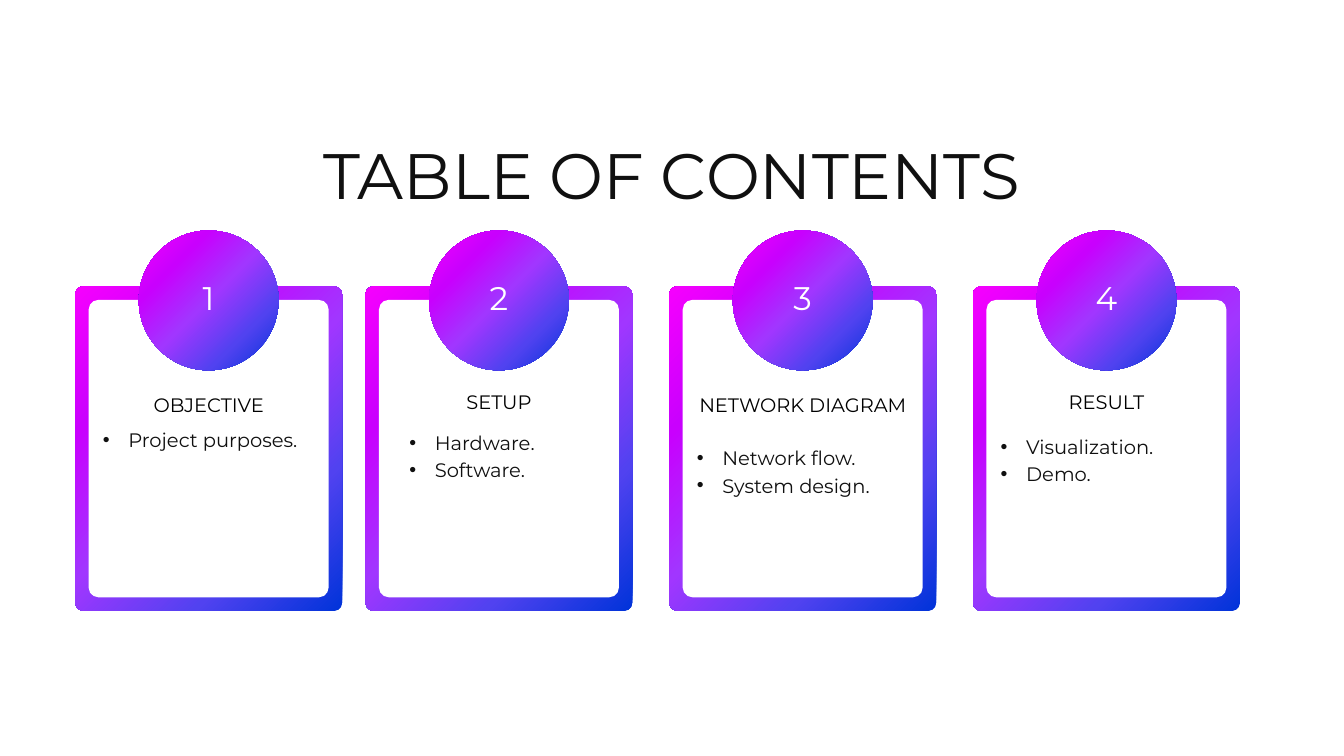
from pptx import Presentation
from pptx.dml.color import RGBColor
from pptx.enum.shapes import MSO_SHAPE
from pptx.enum.text import MSO_ANCHOR, MSO_AUTO_SIZE, PP_ALIGN
from pptx.oxml import parse_xml
from pptx.oxml.ns import nsdecls, qn
from pptx.util import Inches, Pt

ROUNDED, OVAL = MSO_SHAPE.ROUNDED_RECTANGLE, MSO_SHAPE.OVAL
TOP, MIDDLE = MSO_ANCHOR.TOP, MSO_ANCHOR.MIDDLE
LEFT, CENTER = PP_ALIGN.LEFT, PP_ALIGN.CENTER
NO_AUTOFIT = MSO_AUTO_SIZE.NONE

SLIDE_WIDTH, SLIDE_HEIGHT = Inches(20), Inches(11.25)
FONT = "Montserrat"
COLORS = {"white": "FFFFFF", "ink": "101010", "heading": "000000"}
GRADIENT = {0: "F600FE", 25: "C900FE", 50: "A136FF", 75: "5142F0", 100: "0033D9"}

# Positions and sizes below are percentages of the slide's width and height.
CARD_TOP, CARD_WIDTH, CARD_HEIGHT = 37.87, 19.85, 42.93
BORDER_X, BORDER_Y = 1, 1.8
BADGE_TOP, BADGE_WIDTH, BADGE_HEIGHT = 30.49, 10.4, 18.49
TEXT_WIDTH, LINE_HEIGHT = 15.75, 3.47

CARDS = [
    (5.6, "OBJECTIVE", 51.47, ["Project purposes."], 56.09, 0.38),
    (27.2, "SETUP", 51.11, ["Hardware.", "Software."], 56.44, 0.62),
    (49.8, "NETWORK DIAGRAM", 51.47, ["Network flow.", "System design."], 58.49, 0.38),
    (72.4, "RESULT", 51.11, ["Visualization.", "Demo."], 56.98, 0.38),
]


def box(left, top, width, height):
    return (
        int(SLIDE_WIDTH * left / 100),
        int(SLIDE_HEIGHT * top / 100),
        int(SLIDE_WIDTH * width / 100),
        int(SLIDE_HEIGHT * height / 100),
    )


def fill_gradient(shape):
    stops = "".join(
        f'<a:gs pos="{position * 1000}"><a:srgbClr val="{color}"/></a:gs>'
        for position, color in GRADIENT.items()
    )
    gradient = parse_xml(
        f'<a:gradFill {nsdecls("a")}><a:gsLst>{stops}</a:gsLst><a:path path="circle">'
        '<a:fillToRect r="100000" b="100000"/></a:path></a:gradFill>'
    )
    shape.fill.background()
    properties = shape._element.spPr
    properties.replace(properties.find(qn("a:noFill")), gradient)


def add_panel(slide, kind, area, color=None, radius=None):
    shape = slide.shapes.add_shape(kind, *box(*area))
    shape.shadow.inherit = False
    shape.line.fill.background()
    if color:
        shape.fill.solid()
        shape.fill.fore_color.rgb = RGBColor.from_string(COLORS[color])
    else:
        fill_gradient(shape)
    if radius:
        shape.adjustments[0] = radius
    return shape


def write(shape, lines, size, spacing, color, alignment=CENTER, anchor=TOP):
    frame = shape.text_frame
    frame.word_wrap = True
    frame.auto_size = NO_AUTOFIT
    frame.vertical_anchor = anchor
    frame.margin_left = frame.margin_top = frame.margin_right = frame.margin_bottom = 0
    frame.text = "\n".join(lines)
    for paragraph in frame.paragraphs:
        paragraph.alignment = alignment
        paragraph.line_spacing = Pt(spacing)
        for run in paragraph.runs:
            run.font.name = FONT
            run.font.size = Pt(size)
            run.font.color.rgb = RGBColor.from_string(COLORS[color])


def add_title(slide, text):
    title = slide.shapes.title
    title.left, title.top, title.width, title.height = box(18.7, 17.87, 62.55, 10.13)
    write(title, [text], 68.7, 82.4, "ink")


def add_badge(slide, left, number):
    area = (left + (CARD_WIDTH - BADGE_WIDTH) / 2, BADGE_TOP, BADGE_WIDTH, BADGE_HEIGHT)
    badge = add_panel(slide, OVAL, area)
    write(badge, [str(number)], 35, 49, "white", anchor=MIDDLE)
    badge.text_frame.margin_bottom = Inches(0.18)


def add_bullets(slide, area, lines, indent):
    shape = slide.shapes.add_textbox(*box(*area))
    write(shape, lines, 20.9, 29.3, "ink", LEFT)
    for paragraph in shape.text_frame.paragraphs:
        properties = paragraph._p.get_or_add_pPr()
        properties.set("marL", str(Inches(indent)))
        properties.set("indent", str(-Inches(0.38)))
        properties.append(parse_xml(f'<a:buFont {nsdecls("a")} typeface="Arial"/>'))
        properties.append(parse_xml(f'<a:buChar {nsdecls("a")} char="•"/>'))


def add_card(slide, number, left, heading, heading_top, items, items_top, indent):
    add_panel(slide, ROUNDED, (left, CARD_TOP, CARD_WIDTH, CARD_HEIGHT), radius=0.03)
    inside = (
        left + BORDER_X,
        CARD_TOP + BORDER_Y,
        CARD_WIDTH - 2 * BORDER_X,
        CARD_HEIGHT - 2 * BORDER_Y,
    )
    add_panel(slide, ROUNDED, inside, "white", 0.04)
    add_badge(slide, left, number)

    text_left = left + (CARD_WIDTH - TEXT_WIDTH) / 2
    heading_area = (text_left, heading_top, TEXT_WIDTH, LINE_HEIGHT)
    heading_box = slide.shapes.add_textbox(*box(*heading_area))
    write(heading_box, [heading], 20.8, 29.1, "heading")
    items_area = (text_left, items_top, TEXT_WIDTH, LINE_HEIGHT * len(items))
    add_bullets(slide, items_area, items, indent)


def main():
    presentation = Presentation()
    presentation.slide_width, presentation.slide_height = SLIDE_WIDTH, SLIDE_HEIGHT
    slide = presentation.slides.add_slide(presentation.slide_layouts[5])
    add_title(slide, "TABLE OF CONTENTS")
    for number, card in enumerate(CARDS, start=1):
        add_card(slide, number, *card)
    presentation.save("out.pptx")


if __name__ == "__main__":
    main()
